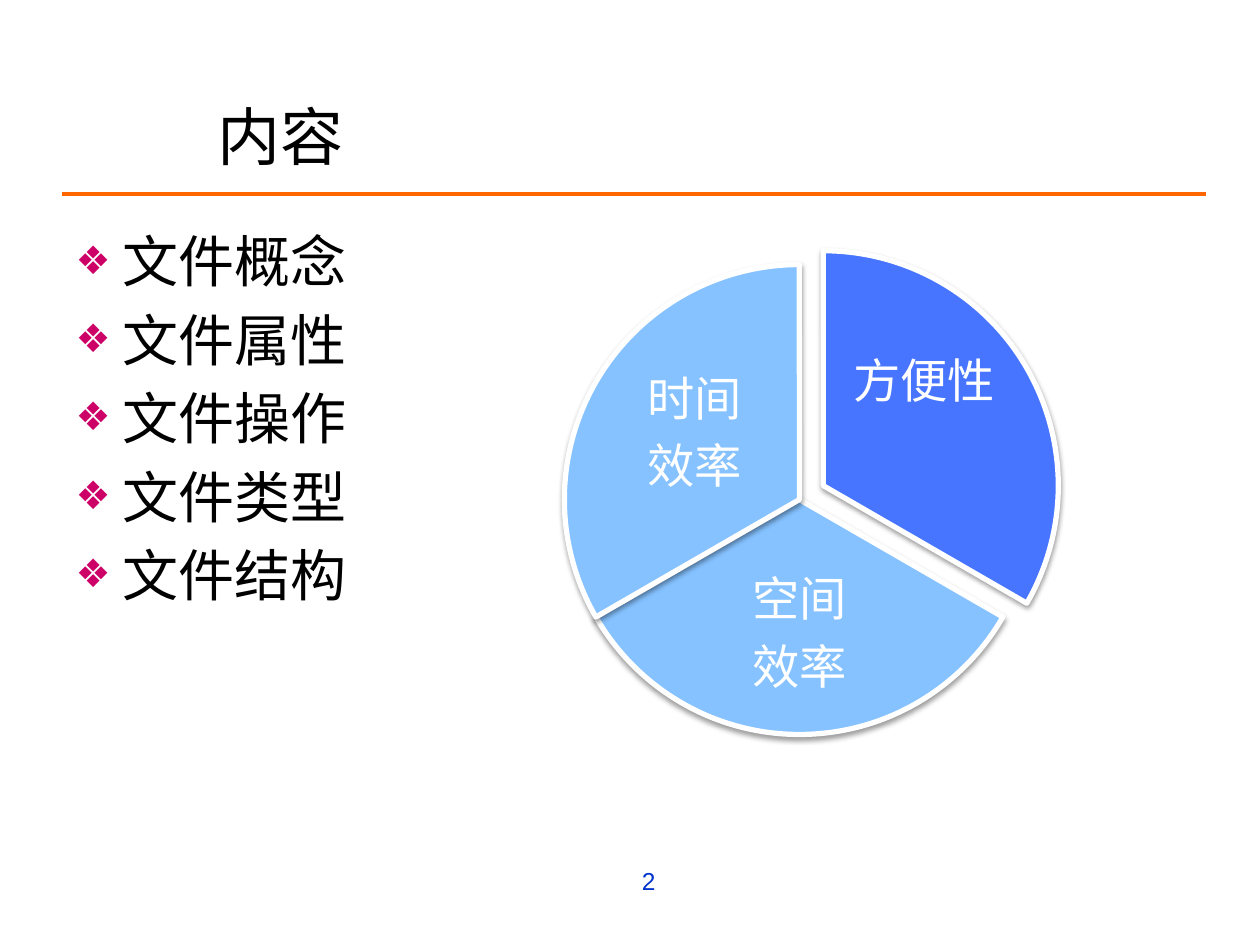
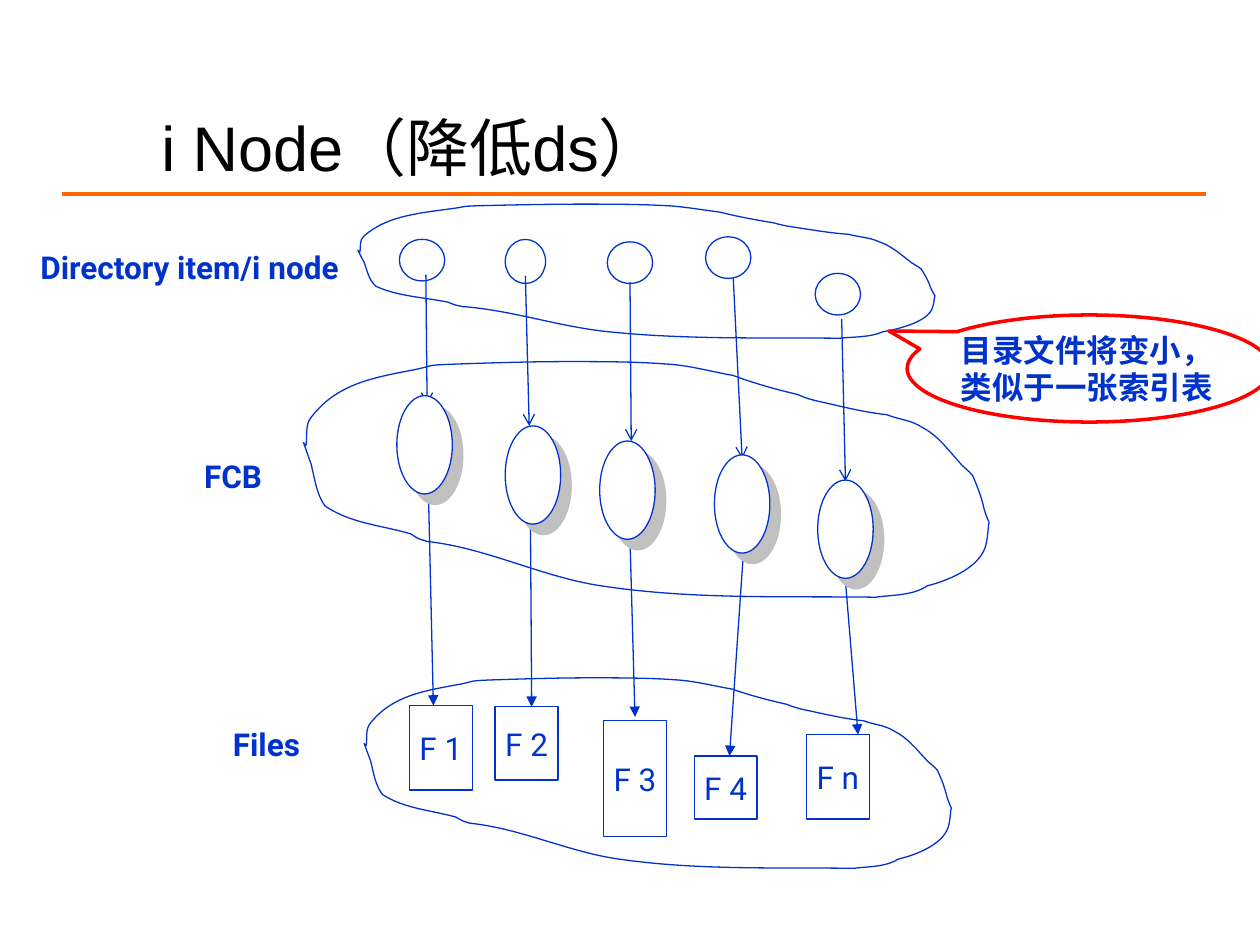
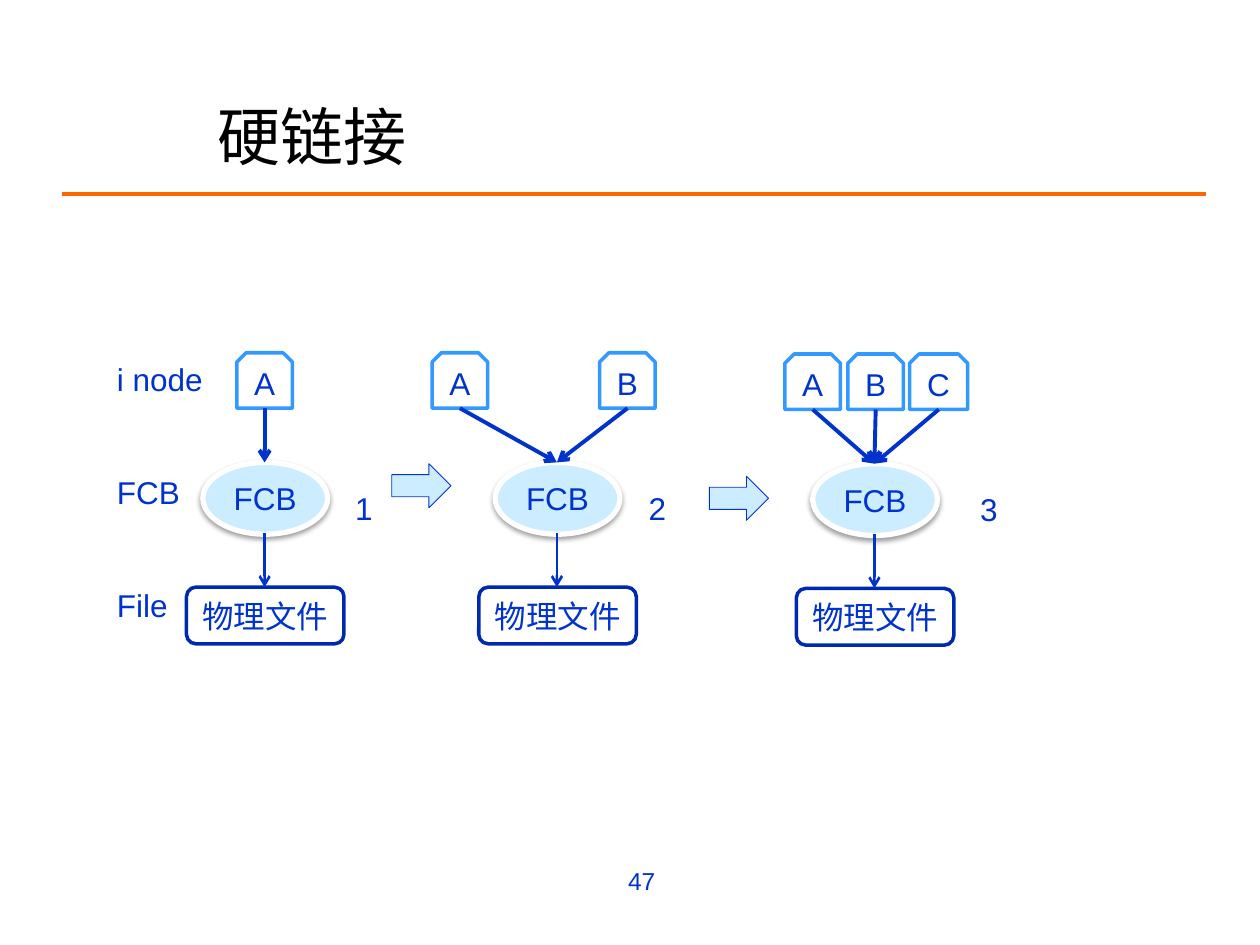
import pptx
import pptx.util
import pptx.dml.color
import pptx.enum.shapes
import pptx.enum.text
import pptx.oxml.ns
from lxml import etree

Inches = pptx.util.Inches
Pt = pptx.util.Pt
SHAPE = pptx.enum.shapes.MSO_SHAPE
ALIGN = pptx.enum.text.PP_ALIGN
ANCHOR = pptx.enum.text.MSO_ANCHOR
qn = pptx.oxml.ns.qn

COLORS = {
    "black": "000000",
    "white": "FFFFFF",
    "blue": "0033CC",
    "navy": "002AAE",
    "sky": "3399FF",
    "pale": "CCECFF",
    "pie_dark": "4775FF",
    "pie_light": "85C2FF",
    "orange": "FF6600",
    "red": "FF0000",
    "bullet": "CC0066",
    "gray": "C0C0C0",
}
SOFT_SHADOW = ("black", 38, 3.1, 1.6, 90)
HARD_SHADOW = ("gray", 100, 0, 8.5, 45)
TITLE_BOX = (1.63, 0.75, 7.26, 0.64)

CLOUD_SIZE = (5.44, 1.87)
CLOUD_START = (0.02, 0.66)
CLOUD_CURVES = [
    (0.03, 0.59, 0.01, 0.5, 0.06, 0.44),
    (0.26, 0.18, 0.54, 0.13, 0.85, 0.07),
    (1.06, 0.03, 0.94, 0.03, 1.2, 0.02),
    (1.5, 0.01, 1.8, 0, 2.1, 0),
    (2.36, 0, 2.63, 0, 2.89, 0.02),
    (3.06, 0.03, 3.24, 0.08, 3.41, 0.11),
    (3.57, 0.17, 3.75, 0.22, 3.92, 0.26),
    (4.01, 0.3, 4.07, 0.31, 4.16, 0.33),
    (4.33, 0.37, 4.46, 0.4, 4.63, 0.42),
    (4.73, 0.46, 4.82, 0.46, 4.91, 0.52),
    (5.03, 0.58, 5.11, 0.69, 5.2, 0.79),
    (5.23, 0.83, 5.28, 0.86, 5.31, 0.9),
    (5.35, 0.99, 5.38, 1.07, 5.4, 1.16),
    (5.41, 1.2, 5.44, 1.27, 5.44, 1.27),
    (5.43, 1.32, 5.43, 1.43, 5.4, 1.49),
    (5.33, 1.64, 5.11, 1.73, 4.95, 1.77),
    (4.83, 1.85, 4.68, 1.84, 4.54, 1.86),
    (3.78, 1.85, 3.09, 1.88, 2.36, 1.77),
    (1.89, 1.7, 1.45, 1.47, 0.98, 1.42),
    (0.96, 1.41, 0.94, 1.41, 0.92, 1.4),
    (0.89, 1.39, 0.87, 1.37, 0.85, 1.36),
    (0.61, 1.29, 0.38, 1.28, 0.17, 1.14),
    (0.1, 1.04, 0.09, 0.93, 0.06, 0.81),
    (0.06, 0.81, 0.01, 0.67, 0, 0.64),
    (0, 0.64, 0.01, 0.66, 0.02, 0.66),
]


def rgb(name):
    return pptx.dml.color.RGBColor.from_string(COLORS[name])


def inches(values):
    return [Inches(v) for v in values]


def shift(box, left, top, width, height):
    return box[0] + left, box[1] + top, width, height


def shift_line(box, x1, y1, x2, y2):
    return box[0] + x1, box[1] + y1, box[0] + x2, box[1] + y2


def write(tf, text, size=18, color="blue", font="Arial", bold=False, align=ALIGN.LEFT,
          anchor=ANCHOR.TOP, wrap=True, inset=(0.1, 0.05), before=0, after=0, spacing=None):
    tf.auto_size = pptx.enum.text.MSO_AUTO_SIZE.NONE
    tf.word_wrap = wrap
    tf.vertical_anchor = anchor
    tf.margin_left = tf.margin_right = Inches(inset[0])
    tf.margin_top = tf.margin_bottom = Inches(inset[1])
    for i, line in enumerate(text.split("\n")):
        p = tf.add_paragraph() if i else tf.paragraphs[0]
        p.alignment = align
        p.space_before, p.space_after = Pt(before), Pt(after)
        if spacing:
            p.line_spacing = spacing
        r = p.add_run()
        r.text = line
        r.font.size, r.font.name, r.font.bold = Pt(size), font, bold
        r.font.color.rgb = rgb(color)


def add_text(s, box, text, **fmt):
    write(s.shapes.add_textbox(*inches(box)).text_frame, text, **fmt)


def paint(sp, fill, line, width, shadow=None):
    sp.shadow.inherit = False
    if fill:
        sp.fill.solid()
        sp.fill.fore_color.rgb = rgb(fill)
    else:
        sp.fill.background()
    sp.line.color.rgb = rgb(line)
    sp.line.width = Pt(width)
    if shadow:
        color, alpha, blur, dist, angle = shadow
        effects = sp.element.spPr.find(qn("a:effectLst"))
        outer = etree.SubElement(effects, qn("a:outerShdw"), blurRad=str(Pt(blur)),
                                 dist=str(Pt(dist)), dir=str(angle * 60000),
                                 algn="ctr", rotWithShape="0")
        clr = etree.SubElement(outer, qn("a:srgbClr"), val=COLORS[color])
        etree.SubElement(clr, qn("a:alpha"), val=str(alpha * 1000))


def add_shape(s, kind, box, fill="white", line="blue", width=0.75, shadow=None, adj=(),
              text=None, **fmt):
    sp = s.shapes.add_shape(kind, *inches(box))
    for i, value in enumerate(adj):
        sp.adjustments[i] = value
    paint(sp, fill, line, width, shadow)
    if text:
        write(sp.text_frame, text, **fmt)


def add_line(s, ends, color="blue", width=0.75, head=None):
    straight = pptx.enum.shapes.MSO_CONNECTOR.STRAIGHT
    c = s.shapes.add_connector(straight, *inches(ends))
    c.line.color.rgb = rgb(color)
    c.line.width = Pt(width)
    if head:
        etree.SubElement(c.element.spPr.find(qn("a:ln")), qn("a:tailEnd"), type=head)
    etree.SubElement(c.element.spPr, qn("a:effectLst"))
    return c


def add_cloud(s, box):
    left, top, width, height = box
    fx, fy = width / CLOUD_SIZE[0], height / CLOUD_SIZE[1]

    def point(x, y):
        return inches((left + x * fx, top + y * fy))

    builder = s.shapes.build_freeform(*point(*CLOUD_START), scale=1.0)
    builder.add_line_segments([point(*curve[4:]) for curve in CLOUD_CURVES], close=True)
    sp = builder.convert_to_shape()
    segments = list(sp.element.spPr.iter(qn("a:lnTo")))
    for segment, curve in zip(segments, CLOUD_CURVES):
        bezier = etree.Element(qn("a:cubicBezTo"))
        for i in (0, 2, 4):
            x, y = point(*curve[i:i + 2])
            etree.SubElement(bezier, qn("a:pt"), x=str(x - sp.left), y=str(y - sp.top))
        segment.getparent().replace(segment, bezier)
    paint(sp, None, "blue", 0.75)


def place(sp, box):
    sp.left, sp.top, sp.width, sp.height = inches(box)


def new_slide(prs, layout, title, box=TITLE_BOX, number=None):
    s = prs.slides.add_slide(prs.slide_layouts[layout])
    place(s.shapes.title, box)
    write(s.shapes.title.text_frame, title, size=36, color="black", anchor=ANCHOR.MIDDLE)
    if number:
        add_text(s, (2.79, 6.82, 2.51, 0.52), number, size=14, align=ALIGN.RIGHT)
    return s


def add_master_rule(prs, s):
    rule = add_line(s, (0.49, 1.54, 9.57, 1.54), color="orange", width=2.25)
    rule.element.xpath("./p:nvCxnSpPr/p:cNvPr")[0].set("id", "100")
    prs.slide_master.shapes.element.insert(2, rule.element)


def bullet_list(sp, box, text):
    place(sp, box)
    write(sp.text_frame, text, size=32, color="black", before=6.4)
    for p in sp.text_frame.paragraphs:
        pPr = p._p.get_or_add_pPr()
        pPr.set("marL", str(Inches(0.37)))
        pPr.set("indent", str(Inches(-0.37)))
        clr = etree.SubElement(pPr, qn("a:buClr"))
        etree.SubElement(clr, qn("a:srgbClr"), val=COLORS["bullet"])
        etree.SubElement(pPr, qn("a:buSzPct"), val="70000")
        etree.SubElement(pPr, qn("a:buChar"), char="❖")


def goal_pie(s, box):
    slices = [
        (0.19, -0.11, (162, 18), "pie_dark", "方便性",
         (2.22, 0.58, 1.27, 1.24), ANCHOR.TOP, 0.16),
        (0, 0, (18, 90), "pie_light", "空间\n效率",
         (1.02, 2.36, 1.69, 1.16), ANCHOR.MIDDLE, 0.04),
        (0, 0, (90, 162), "pie_light", "时间\n效率",
         (0.4, 0.73, 1.27, 1.24), ANCHOR.MIDDLE, 0.04),
    ]
    for dx, dy, angles, fill, label, label_box, anchor, inset in slices:
        add_shape(s, SHAPE.PIE, shift(box, dx, dy, box[2], box[3]), fill=fill, line="white",
                  width=3, shadow=SOFT_SHADOW, adj=angles)
        add_text(s, shift(box, *label_box), label, size=27, color="white",
                 align=ALIGN.CENTER, anchor=anchor, inset=(0.04, inset),
                 after=9.45, spacing=0.9)


def inode_diagram(s, box):
    centred = dict(font="Roboto", align=ALIGN.CENTER, wrap=False)
    levels = [
        ("Directory item/i node", (-2.24, 0.32, 2.69, 0.4), 0.05, (0.44, 0.02, 4.58, 1.07)),
        ("FCB", (-0.91, 1.9, 0.72, 0.85), 0.13, (0.01, 1.27, 5.44, 1.88)),
        ("Files", (-0.67, 4.02, 0.77, 0.85), 0.13, (0.49, 3.78, 4.66, 1.52)),
    ]
    columns = [
        ((0.77, 0.3, 0.36, 0.33), (0.98, 0.58, 0.99, 1.61), (0.75, 1.54),
         (1, 2.3, 1.04, 4), "F 1", (0.85, 4, 0.5, 0.67)),
        ((1.61, 0.3, 0.32, 0.35), (1.77, 0.59, 1.8, 1.78), (1.61, 1.78),
         (1.81, 2.54, 1.82, 4.01), "F 2", (1.53, 4.01, 0.5, 0.58)),
        ((2.42, 0.32, 0.36, 0.33), (2.6, 0.64, 2.61, 1.9), (2.36, 1.9),
         (2.6, 2.68, 2.64, 4.09), "F 3", (2.39, 4.12, 0.5, 0.92)),
        ((3.2, 0.28, 0.36, 0.33), (3.42, 0.61, 3.49, 2.04), (3.27, 2.01),
         (3.5, 2.79, 3.39, 4.4), "F 4", (3.11, 4.4, 0.5, 0.5)),
        ((4.07, 0.57, 0.36, 0.33), (4.28, 0.93, 4.31, 2.22), (4.09, 2.21),
         (4.31, 3.01, 4.41, 4.23), "F n", (4, 4.23, 0.5, 0.67)),
    ]
    for label, label_box, inset, cloud_box in levels:
        add_cloud(s, shift(box, *cloud_box))
        add_text(s, shift(box, *label_box), label, bold=True, inset=(0.1, inset), **centred)
    for node, to_fcb, fcb, to_file, name, file_box in columns:
        add_shape(s, SHAPE.OVAL, shift(box, *node))
        add_line(s, shift_line(box, *to_fcb), head="arrow")
        add_line(s, shift_line(box, *to_file), head="triangle")
        add_shape(s, SHAPE.OVAL, shift(box, *fcb, 0.44, 0.78), shadow=HARD_SHADOW)
        add_shape(s, SHAPE.RECTANGLE, shift(box, *file_box), text=name,
                  anchor=ANCHOR.MIDDLE, **centred)


def link_stage(s, box, nodes, number, number_left, number_width):
    centred = dict(align=ALIGN.CENTER, anchor=ANCHOR.MIDDLE, wrap=False)
    mid = 0.62
    add_shape(s, SHAPE.ROUNDED_RECTANGLE, shift(box, 0, 1.86, box[2], 0.45), line="navy",
              width=2, text="物理文件", **centred)
    add_shape(s, SHAPE.OVAL, shift(box, mid - 0.49, 0.87, 0.99, 0.57), fill="pale",
              line="white", width=3, shadow=SOFT_SHADOW, text="FCB", **centred)
    add_line(s, shift_line(box, mid, 1.43, mid, 1.86), width=1.5, head="arrow")
    for name, dx, width in nodes:
        x = mid + dx
        add_shape(s, SHAPE.SNIP_2_SAME_RECTANGLE,
                  shift(box, x - width / 2, 0, width, 0.44),
                  line="sky", width=2, text=name, **centred)
        add_line(s, shift_line(box, x, 0.44, mid, 0.87), width=2.25, head="arrow")
    add_text(s, shift(box, number_left, 1.03, number_width, 0.4), number)


def contents_slide(prs):
    s = new_slide(prs, 1, "内容", number="2")
    add_master_rule(prs, s)
    bullet_list(s.placeholders[1], (0.5, 1.75, 9, 4.95),
                "文件概念\n文件属性\n文件操作\n文件类型\n文件结构")
    goal_pie(s, (4.48, 2.1, 3.73, 3.73))


def inode_slide(prs):
    s = new_slide(prs, 5, "i Node（降低ds）", box=(1.18, 0.91, 8.83, 0.5))
    inode_diagram(s, (2.4, 1.6, 5.45, 5.3))
    add_shape(s, SHAPE.OVAL_CALLOUT, (7.2, 2.5, 2.89, 0.85), line="red", width=2,
              adj=(-0.55, -0.35), text="目录文件将变小，\n类似于一张索引表",
              bold=True, inset=(0, 0))


def hard_link_slide(prs):
    s = new_slide(prs, 5, "硬链接", number="47")
    add_text(s, (0.83, 2.81, 1.02, 2.52), "i node\nFCB\nFile", after=42.8)
    stages = [
        (1.48, 2.8, [("A", 0, 0.44)], 1.24, 0.23),
        (3.8, 2.8, [("A", -0.77, 0.44), ("B", 0.56, 0.44)], 1.25, 0.34),
        (6.32, 2.81, [("A", -0.49, 0.44), ("B", 0.01, 0.44), ("C", 0.51, 0.46)], 1.36, 0.82),
    ]
    for i, (left, top, nodes, number_left, number_width) in enumerate(stages, 1):
        link_stage(s, (left, top, 1.25, 2.31), nodes, str(i), number_left, number_width)
    for left, top in [(3.11, 3.68), (5.63, 3.78)]:
        add_shape(s, SHAPE.RIGHT_ARROW, (left, top, 0.47, 0.35), fill="pale", width=0.5)


def main():
    prs = pptx.Presentation()
    prs.slide_width, prs.slide_height = Inches(10), Inches(7.5)
    contents_slide(prs)
    inode_slide(prs)
    hard_link_slide(prs)
    prs.save("out.pptx")


if __name__ == "__main__":
    main()
